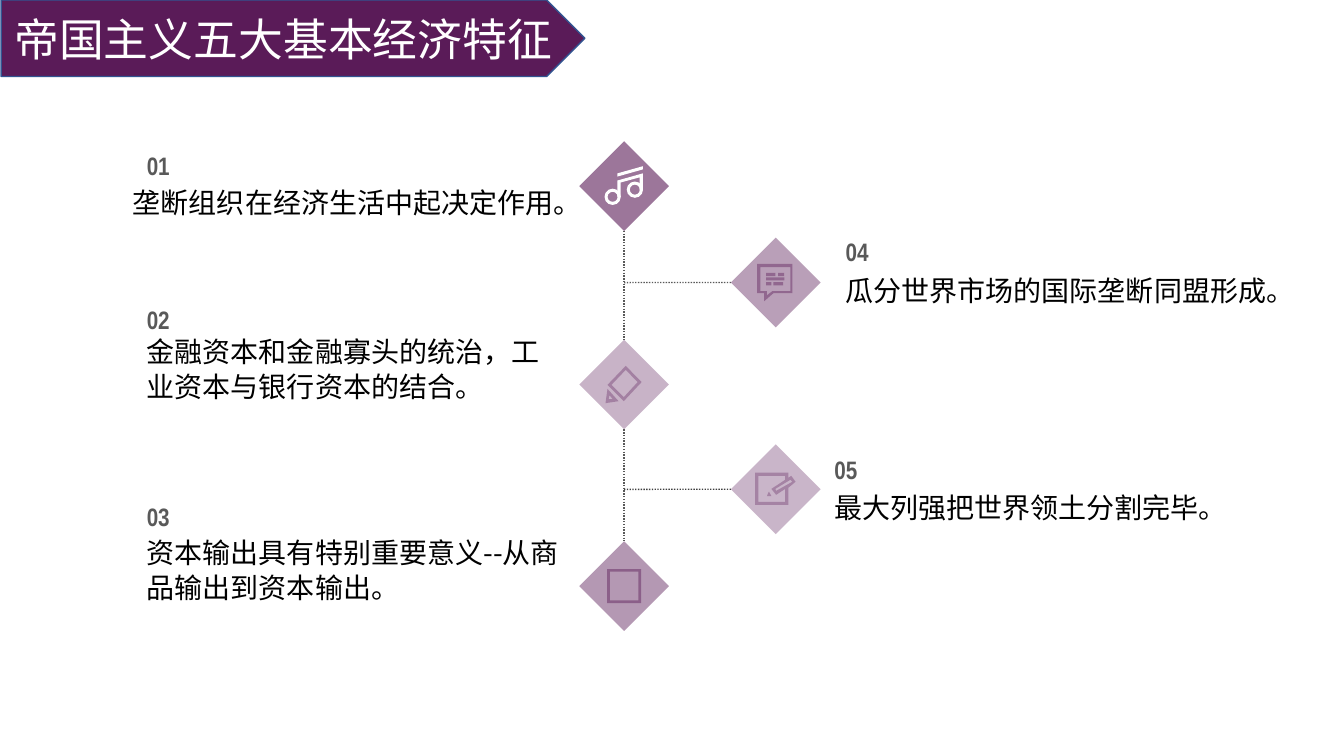
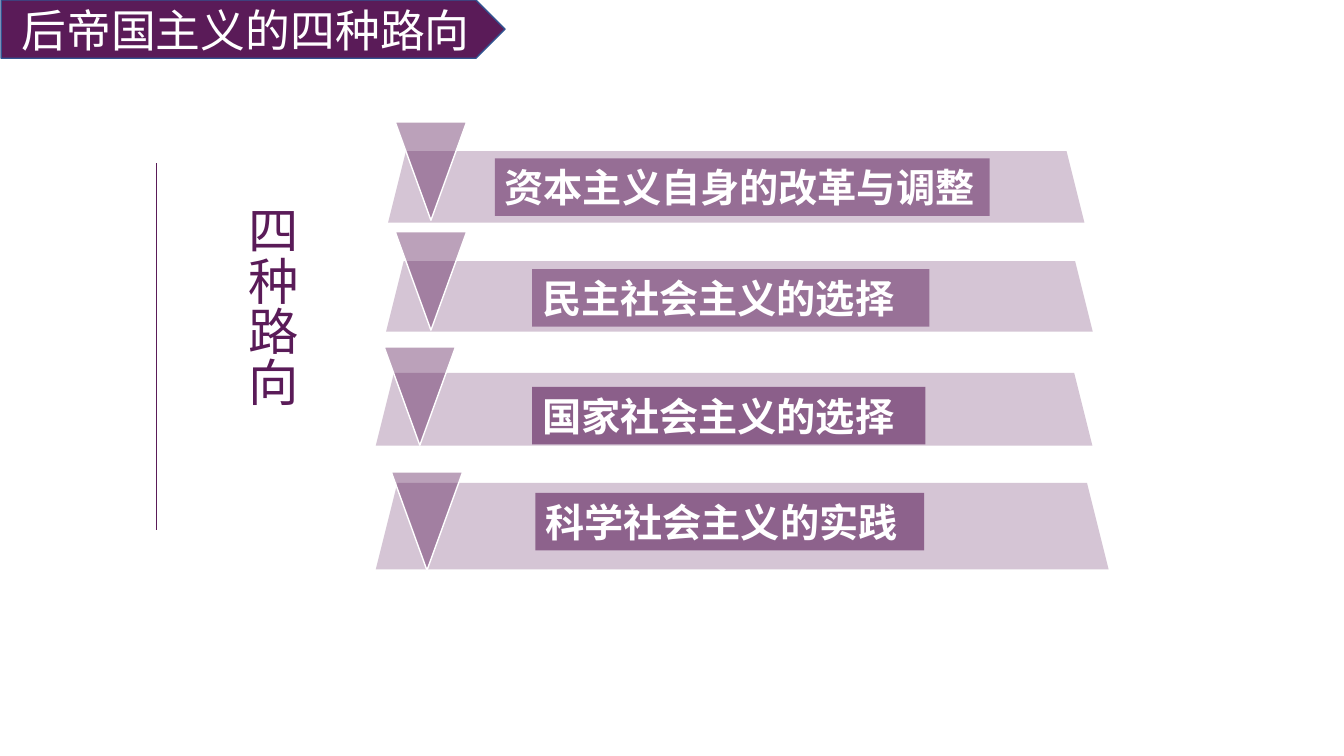
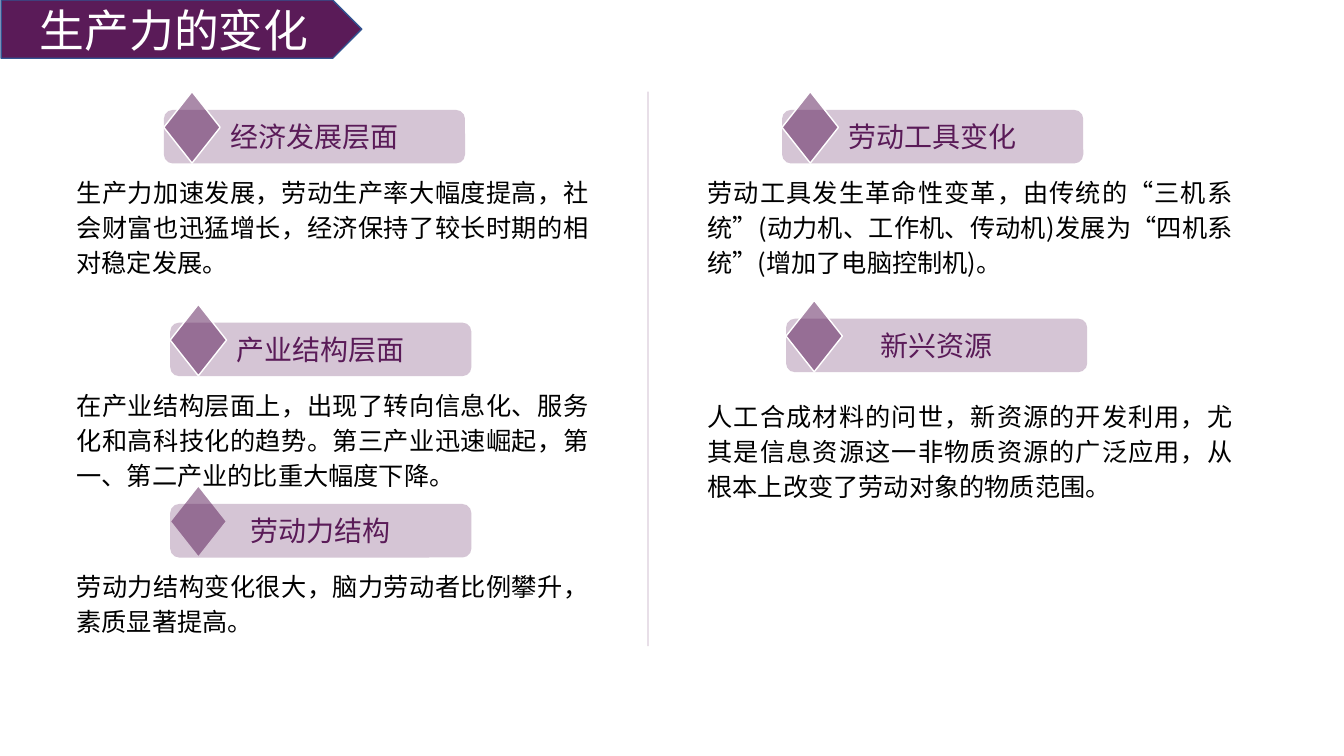
from dataclasses import dataclass

from lxml import etree
from pptx import Presentation, util as u
from pptx.dml.color import RGBColor
from pptx.enum import dml, shapes, text
from pptx.oxml.ns import qn

KIND = shapes.MSO_SHAPE
ALIGN = text.PP_ALIGN
ANCHOR = text.MSO_ANCHOR
TOP, LEFT, BOTTOM = 0, 1, 2


@dataclass(frozen=True)
class Theme:
    plum: str = "5A1B58"
    banner_line: str = "325491"
    white: str = "FFFFFF"
    black: str = "000000"
    grey: str = "595959"
    dark_grey: str = "404040"
    font: str = "Noto Sans CJK SC"
    number_font: str = "Arial Narrow"
    title_size: int = 32
    side_title_size: int = 36
    label_size: int = 28
    text_size: int = 20
    small_size: int = 18


THEME = Theme()


def set_alpha(parent, percent):
    """Make the solid fill inside parent partly transparent."""
    if percent < 100:
        colour = parent.find(qn("a:solidFill"))[0]
        etree.SubElement(colour, qn("a:alpha"), val=str(percent * 1000))


class Deck:
    def __init__(self):
        self.presentation = Presentation()
        self.presentation.slide_width = u.Cm(33.87)
        self.presentation.slide_height = u.Cm(19.05)
        self.slide = None

    def start_slide(self, title, width, height=1.47):
        layout = self.presentation.slide_layouts[6]
        self.slide = self.presentation.slides.add_slide(layout)
        banner = self.shape(KIND.PENTAGON, 0.03, 0, width, height, line=THEME.banner_line)
        self.set_text(banner, title, THEME.title_size, THEME.white, align=ALIGN.CENTER)

    def paint(self, shape, alpha=100, colour=THEME.plum, line=None):
        shape.shadow.inherit = False
        shape.fill.solid()
        shape.fill.fore_color.rgb = RGBColor.from_string(colour)
        set_alpha(shape._element.spPr, alpha)
        if line:
            shape.line.color.rgb = RGBColor.from_string(line)
            shape.line.width = u.Pt(1)
        else:
            shape.line.fill.background()
        return shape

    def shape(self, kind, left, top, width, height, alpha=100, colour=THEME.plum, line=None):
        box = [u.Cm(value) for value in (left, top, width, height)]
        return self.paint(self.slide.shapes.add_shape(kind, *box), alpha, colour, line)

    def outline(self, centre, contours, alpha=100, colour=THEME.plum):
        """Fill polygons given relative to centre; inner ones become holes."""
        placed = [[(u.Cm(centre[0] + x), u.Cm(centre[1] + y)) for x, y in contour]
                  for contour in contours]
        builder = self.slide.shapes.build_freeform(*placed[0][0])
        for contour in placed:
            if contour is not placed[0]:
                builder.move_to(*contour[0])
            builder.add_line_segments(contour[1:], close=True)
        return self.paint(builder.convert_to_shape(), alpha, colour)

    def set_text(self, shape, words, size, colour, bold=False, align=ALIGN.LEFT,
                 anchor=ANCHOR.MIDDLE, font=THEME.font, spacing=None, wrap=True, grow=False):
        frame = shape.text_frame
        frame.word_wrap = wrap
        frame.vertical_anchor = anchor
        if grow:
            frame.auto_size = text.MSO_AUTO_SIZE.SHAPE_TO_FIT_TEXT
        paragraph = frame.paragraphs[0]
        paragraph.text = words
        paragraph.alignment = align
        if spacing:
            paragraph.line_spacing = u.Pt(spacing)
        paragraph.font.size = u.Pt(size)
        paragraph.font.bold = bold
        paragraph.font.color.rgb = RGBColor.from_string(colour)
        paragraph.font.name = font
        properties = paragraph._p.pPr.find(qn("a:defRPr"))
        etree.SubElement(properties, qn("a:ea"), typeface=font)

    def text(self, words, left, top, width, height, size, colour=THEME.black, **style):
        box = self.slide.shapes.add_textbox(*[u.Cm(v) for v in (left, top, width, height)])
        self.set_text(box, words, size, colour, anchor=ANCHOR.TOP, grow=True, **style)
        return box

    def line(self, start, end, colour=THEME.plum, width=0.5, dotted=False, alpha=100):
        points = [u.Cm(value) for value in (*start, *end)]
        connector = self.slide.shapes.add_connector(shapes.MSO_CONNECTOR.STRAIGHT, *points)
        connector.line.color.rgb = RGBColor.from_string(colour)
        connector.line.width = u.Pt(width)
        if dotted:
            connector.line.dash_style = dml.MSO_LINE.ROUND_DOT
        properties = connector._element.spPr
        set_alpha(properties.find(qn("a:ln")), alpha)
        etree.SubElement(properties, qn("a:effectLst"))
        return connector

    def node(self, centre, alpha, size=2.26):
        x, y = centre
        return self.shape(KIND.DIAMOND, x - size / 2, y - size / 2, size, size, alpha)

    def feature(self, number, words, left, top, text_left, text_top, width, spacing):
        self.text(number, left, top, 1.2, 1.02, THEME.small_size, THEME.grey,
                  bold=True, font=THEME.number_font, wrap=False)
        self.text(words, text_left, text_top, width, 0.97 if spacing == 20 else 2.03,
                  THEME.text_size, spacing=spacing)

    def badge(self, title, left, top, diamond_behind=False):
        def diamond():
            self.shape(KIND.DIAMOND, left, top - 0.46, 1.42, 1.8, 51, line=THEME.white)

        if diamond_behind:
            diamond()
        plate = self.shape(KIND.ROUNDED_RECTANGLE, left, top, 7.59, 1.35, 25)
        self.set_text(plate, title, THEME.text_size, THEME.plum, align=ALIGN.CENTER)
        if not diamond_behind:
            diamond()


def music_icon(deck, centre):
    x, y = centre
    size = 0.41
    for dx, dy in ((-0.29, 0.27), (0.27, 0.09)):
        head = deck.shape(KIND.DONUT, x + dx - size / 2, y + dy - size / 2, size, size,
                          colour=THEME.white)
        head.adjustments[0] = 0.19
    stems = [(-0.17, -0.14), (0.47, -0.32), (0.47, 0.11), (0.39, 0.11),
             (0.39, -0.22), (-0.09, -0.09), (-0.09, 0.27), (-0.17, 0.27)]
    beam = [(-0.17, -0.32), (-0.17, -0.24), (0.47, -0.42), (0.47, -0.5)]
    for contour in (stems, beam):
        deck.outline(centre, [contour], colour=THEME.white)


def pencil_icon(deck, centre, alpha):
    deck.outline(centre, [
        [(0.04, -0.47), (-0.42, 0.01), (-0.01, 0.42), (0.44, -0.06)],
        [(-0.32, 0.01), (0.04, -0.37), (0.34, -0.06), (-0.01, 0.32)]], alpha)
    deck.outline(centre, [
        [(-0.47, 0.47), (-0.14, 0.42), (-0.42, 0.11)],
        [(-0.37, 0.27), (-0.29, 0.37), (-0.39, 0.37)]], alpha)


def frame_icon(deck, centre, alpha):
    frame = deck.shape(KIND.FRAME, centre[0] - 0.43, centre[1] - 0.43, 0.86, 0.86, alpha)
    frame.adjustments[0] = 0.08


def speech_icon(deck, centre, alpha):
    deck.outline(centre, [
        [(-0.47, -0.47), (-0.47, 0.27), (-0.29, 0.27), (-0.29, 0.47),
         (-0.06, 0.27), (0.42, 0.27), (0.42, -0.47)],
        [(0.37, 0.22), (-0.09, 0.22), (-0.22, 0.32), (-0.22, 0.22),
         (-0.39, 0.22), (-0.39, -0.39), (0.37, -0.39)]], alpha)
    for dx, dy, width in ((-0.24, -0.24, 0.23), (0.06, -0.24, 0.15), (-0.24, -0.13, 0.46),
                          (-0.24, -0.01, 0.13), (-0.06, -0.01, 0.25)):
        deck.shape(KIND.RECTANGLE, centre[0] + dx, centre[1] + dy, width, 0.08, alpha)


def edit_icon(deck, centre, alpha):
    deck.outline(centre, [
        [(0.5, -0.19), (0.39, -0.34), (0.32, -0.29), (0.32, -0.42),
         (-0.52, -0.42), (-0.52, 0.39), (0.32, 0.39), (0.32, -0.04)],
        [(0.42, -0.19), (0.01, 0.04), (-0.01, -0.01), (0.37, -0.24)],
        [(0.24, 0.32), (-0.44, 0.32), (-0.44, -0.34), (0.24, -0.34),
         (0.24, -0.24), (-0.11, -0.01), (0.01, 0.14), (0.24, -0.01)]], alpha)
    deck.outline(centre, [[(-0.19, 0.09), (-0.22, 0.17), (-0.11, 0.17), (-0.17, 0.06)]], alpha)


def features_slide(deck):
    deck.start_slide("帝国主义五大基本经济特征", 14.71, 1.93)
    spine, branch = 15.73, 19.55
    music, pencil, frame = [(spine, y) for y in (4.69, 9.69, 14.77)]
    speech, edit = [(branch, y) for y in (7.12, 12.33)]

    spine_nodes = [deck.node(music, 60), deck.node(pencil, 33), deck.node(frame, 45)]
    for upper, lower in zip(spine_nodes, spine_nodes[1:]):
        link = deck.line(music, frame, THEME.grey, 1, dotted=True)
        link.begin_connect(upper, BOTTOM)
        link.end_connect(lower, TOP)
    for centre, alpha, colour in ((speech, 42, THEME.grey), (edit, 32, THEME.dark_grey)):
        node = deck.node(centre, alpha)
        link = deck.line(centre, (spine, centre[1]), colour, 1, dotted=True)
        link.begin_connect(node, LEFT)

    music_icon(deck, music)
    pencil_icon(deck, pencil, 33)
    frame_icon(deck, frame, 45)
    speech_icon(deck, speech, 42)
    edit_icon(deck, edit, 32)

    for feature in (
        ("01", "垄断组织在经济生活中起决定作用。", 3.45, 3.66, 3.1, 4.7, 11.84, 20),
        ("02", "金融资本和金融寡头的统治，工业资本与银行资本的结合。",
         3.45, 7.54, 3.45, 8.28, 11, 25),
        ("03", "资本输出具有特别重要意义--从商品输出到资本输出。",
         3.45, 12.52, 3.45, 13.34, 10.95, 25),
        ("04", "瓜分世界市场的国际垄断同盟形成。", 21.06, 5.84, 21.06, 6.91, 11.94, 20),
        ("05", "最大列强把世界领土分割完毕。", 20.78, 11.33, 20.78, 12.37, 11.25, 20),
    ):
        deck.feature(*feature)


def routes_slide(deck):
    deck.start_slide("后帝国主义的四种路向", 12.7)
    for words, band, marker, label, alpha in (
        ("资本主义自身的改革与调整", (9.78, 3.81, 17.55, 1.8), (9.96, 3.07),
         (12.47, 3.99, 12.47), 51),
        ("民主社会主义的选择", (9.73, 6.58, 17.81, 1.78), (9.96, 5.84),
         (13.41, 6.78, 10.01), 49),
        ("国家社会主义的选择", (9.47, 9.4, 18.06, 1.83), (9.68, 8.74),
         (13.41, 9.75, 9.91), 60),
        ("科学社会主义的实践", (9.47, 12.17, 18.47, 2.18), (9.86, 11.89),
         (13.49, 12.42, 9.8), 58),
    ):
        deck.shape(KIND.TRAPEZOID, *band, 25)
        triangle = deck.shape(KIND.ISOSCELES_TRIANGLE, *marker, 1.8, 2.48, 41, line=THEME.white)
        triangle.rotation = 180
        plate = deck.shape(KIND.RECTANGLE, *label, 1.45, alpha)
        deck.set_text(plate, words, THEME.label_size, THEME.white, bold=True,
                      anchor=ANCHOR.TOP, grow=True)
    side_title = deck.text("四种路向", 5.69, 4.93, 2.06, 8.2, THEME.side_title_size, THEME.plum)
    side_title.text_frame._txBody.bodyPr.set("vert", "eaVert")
    deck.line((3.94, 4.11), (3.94, 13.36))


def productivity_slide(deck):
    deck.start_slide("生产力的变化", 9.09)
    deck.line((16.33, 2.31), (16.33, 16.28), alpha=38)
    left_column, right_column = (1.68, 13.41), (17.58, 13.74)
    for title, left, top, column, text_top, words in (
        ("经济发展层面", 4.13, 2.77, left_column, 4.22,
         "生产力加速发展，劳动生产率大幅度提高，社会财富也迅猛增长，"
         "经济保持了较长时期的相对稳定发展。"),
        ("产业结构层面", 4.29, 8.13, left_column, 9.58,
         "在产业结构层面上，出现了转向信息化、服务化和高科技化的趋势。"
         "第三产业迅速崛起，第一、第二产业的比重大幅度下降。"),
        ("劳动力结构", 4.29, 12.7, left_column, 14.15,
         "劳动力结构变化很大，脑力劳动者比例攀升，素质显著提高。"),
        ("劳动工具变化", 19.71, 2.77, right_column, 4.22,
         "劳动工具发生革命性变革，由传统的“三机系统”(动力机、工作机、传动机)"
         "发展为“四机系统”(增加了电脑控制机)。"),
        ("新兴资源", 19.81, 8.03, right_column, 9.88,
         "人工合成材料的问世，新资源的开发利用，尤其是信息资源这一非物质资源的"
         "广泛应用，从根本上改变了劳动对象的物质范围。"),
    ):
        deck.badge(title, left, top, diamond_behind=title == "劳动力结构")
        text_left, width = column
        deck.text(words, text_left, text_top, width, 2.9, THEME.small_size,
                  align=ALIGN.JUSTIFY, spacing=25)


def main():
    deck = Deck()
    features_slide(deck)
    routes_slide(deck)
    productivity_slide(deck)
    deck.presentation.save("out.pptx")


if __name__ == "__main__":
    main()
